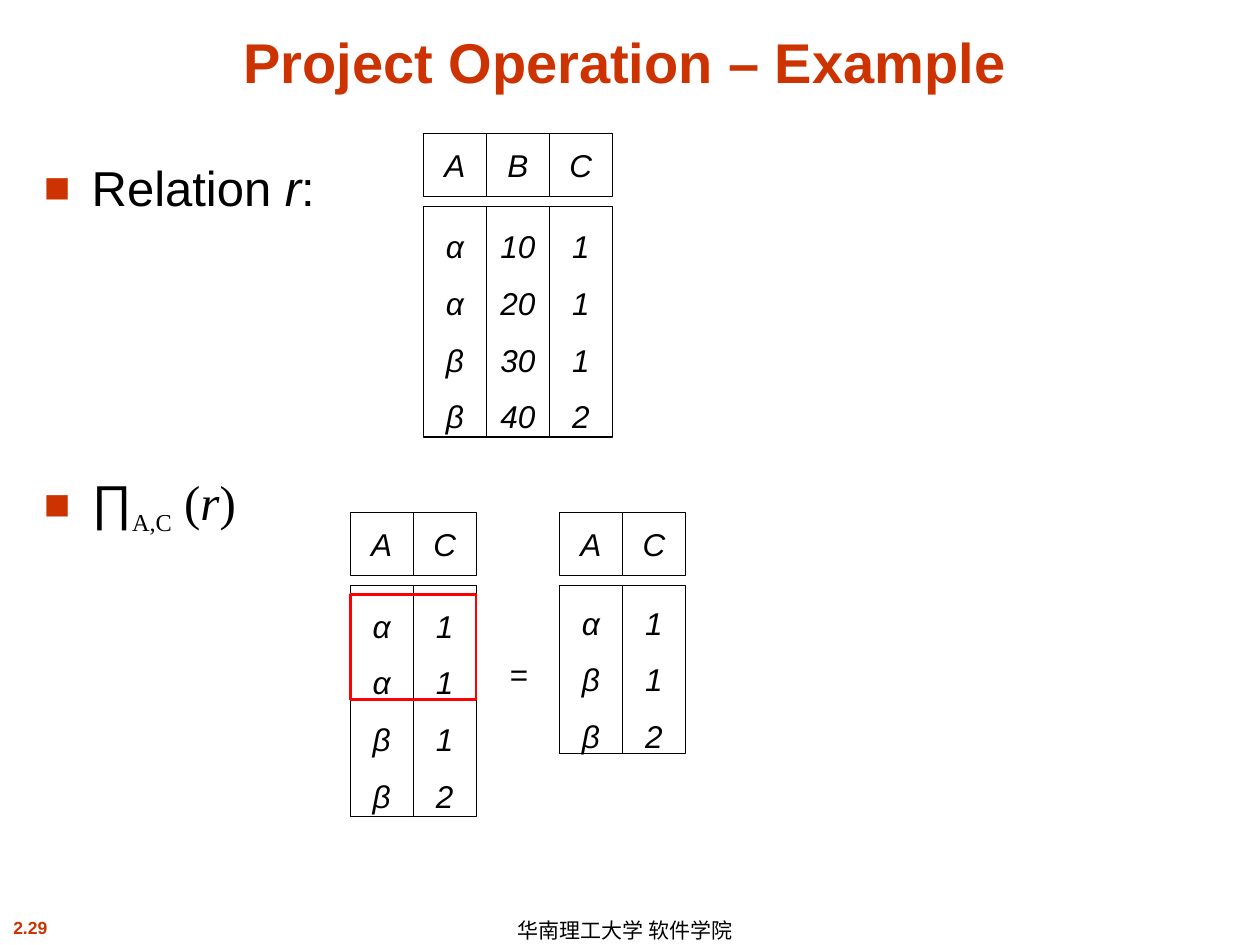
from dataclasses import dataclass

import pptx
import pptx.dml.color
import pptx.enum.shapes
import pptx.enum.text
import pptx.util
from lxml import etree

HUES = {"title": "CC3300", "text": "000000", "fill": "FFFFFF", "mark": "FF0000"}
UNIT = 0.5  # one grid column or row, in inches: the slide has 20 by 15
FONT = "Arial"
ALIGN = pptx.enum.text.PP_ALIGN
ANCHOR = pptx.enum.text.MSO_ANCHOR
RECT = pptx.enum.shapes.MSO_SHAPE.RECTANGLE


@dataclass
class Area:
    """Place and size in grid columns and rows."""
    col: float
    row: float
    wide: float = 1
    high: float = 1

    def emu(self) -> list:
        sides = (self.col, self.row, self.wide, self.high)
        return [pptx.util.Inches(side * UNIT) for side in sides]


@dataclass
class Table:
    """A relation: heads, and one list of values for each column."""
    col: float
    row: float
    heads: str
    data: list


def color(name: str) -> pptx.dml.color.RGBColor:
    return pptx.dml.color.RGBColor.from_string(HUES[name])


def style(run, size: float, hue: str = "text", bold: bool = False,
          slant: bool = False, face: str = FONT) -> None:
    font = run.font
    font.name, font.size = face, pptx.util.Pt(size)
    font.bold, font.italic = bold, slant
    font.color.rgb = color(hue)


def write(shape, text: str, size: float, space: float = 1, align=ALIGN.CENTER,
          anchor=ANCHOR.MIDDLE, wrap: bool = False, **look) -> None:
    frame = shape.text_frame
    frame.word_wrap, frame.vertical_anchor = wrap, anchor
    frame.auto_size = pptx.enum.text.MSO_AUTO_SIZE.NONE
    frame.text = text
    for para in frame.paragraphs:
        para.alignment, para.line_spacing = align, space
        for run in para.runs:
            style(run, size, **look)


def box(slide, area: Area, fill: str = "", line: str = "", width: float = 0.75):
    shape = slide.shapes.add_shape(RECT, *area.emu())
    shape.shadow.inherit = False
    if fill:
        shape.fill.solid()
        shape.fill.fore_color.rgb = color(fill)
    else:
        shape.fill.background()
    if line:
        shape.line.color.rgb = color(line)
        shape.line.width = pptx.util.Pt(width)
    else:
        shape.line.fill.background()
    return shape


def draw(slide, table: Table) -> None:
    for step, (head, items) in enumerate(zip(table.heads, table.data)):
        col = table.col + step
        top = box(slide, Area(col, table.row), "fill", "text")
        write(top, head, 18, slant=True)
        area = Area(col, table.row + 1.16, high=len(items) - 0.34)
        body = box(slide, area, "fill", "text")
        write(body, "\n".join(items), 18, space=1.5, slant=True)


def bullet(para) -> None:
    props = para._p.get_or_add_pPr()
    indent = pptx.util.Inches(0.38)
    props.set("marL", str(indent))
    props.set("indent", str(-indent))
    space = pptx.oxml.ns.nsdecls("a")
    for part in (f'<a:buClr {space}><a:srgbClr val="{HUES["title"]}"/></a:buClr>',
                 f'<a:buSzPct {space} val="90000"/>',
                 f'<a:buFont {space} typeface="{FONT}"/>',
                 f'<a:buChar {space} char="■"/>'):
        props.append(etree.fromstring(part))


def label(slide, area: Area, text: str, size: float, **look) -> None:
    write(slide.shapes.add_textbox(*area.emu()), text, size, **look)


def main() -> None:
    deck = pptx.Presentation()
    deck.slide_width = pptx.util.Inches(20 * UNIT)
    deck.slide_height = pptx.util.Inches(15 * UNIT)
    slide = deck.slides.add_slide(deck.slide_layouts[5])

    # Title
    title = slide.shapes.title
    title.left, title.top, title.width, title.height = Area(0.5, 0.26, 18.84, 1.34).emu()
    write(title, "Project Operation – Example", 32, anchor=ANCHOR.BOTTOM,
          wrap=True, hue="title", bold=True)

    # Bullets: the relation, then its projection
    notes = slide.shapes.add_textbox(*Area(0.5, 2.4, 5, 6.5).emu())
    frame = notes.text_frame
    frame.word_wrap = True
    serif = "Times New Roman"
    first, last = frame.paragraphs[0], frame.add_paragraph()
    last.space_before = pptx.util.Pt(146)
    lines = (
        (first, [("Relation", {}), (" r", {"slant": True}), (":", {})]),
        (last, [("∏", {}), ("A,C", {"size": 24, "face": serif}),
                (" (", {"face": serif}), ("r", {"face": serif, "slant": True}),
                (")", {"face": serif})]),
    )
    for para, parts in lines:
        bullet(para)
        for text, look in parts:
            run = para.add_run()
            run.text = text
            style(run, **{"size": 28, **look})
    last.runs[1].font._element.set("baseline", "-25000")

    # Relation r, its projection with duplicates, and the result
    ones = ["1", "1", "1", "2"]
    greek = ["α", "α", "β", "β"]
    tens = ["10", "20", "30", "40"]
    for table in (Table(6.72, 2.12, "ABC", [greek, tens, ones]),
                  Table(5.56, 8.14, "AC", [greek, ones]),
                  Table(8.88, 8.14, "AC", [greek[1:], ones[1:]])):
        draw(slide, table)
    write(box(slide, Area(7.9, 10.3, 0.68, 0.8), "fill"), "=", 18)

    # Frame around the duplicate rows
    box(slide, Area(5.56, 9.44, 2, 1.66), line="mark", width=1.5)

    # Page number and footer
    label(slide, Area(-0.5, 14.46, 1.96, 0.54), "2.29", 10,
          anchor=ANCHOR.TOP, hue="title", bold=True)
    label(slide, Area(8.02, 14.5, 4.48, 0.5), "华南理工大学 软件学院", 12,
          space=1.1, align=ALIGN.LEFT)

    deck.save("out.pptx")


if __name__ == "__main__":
    main()
